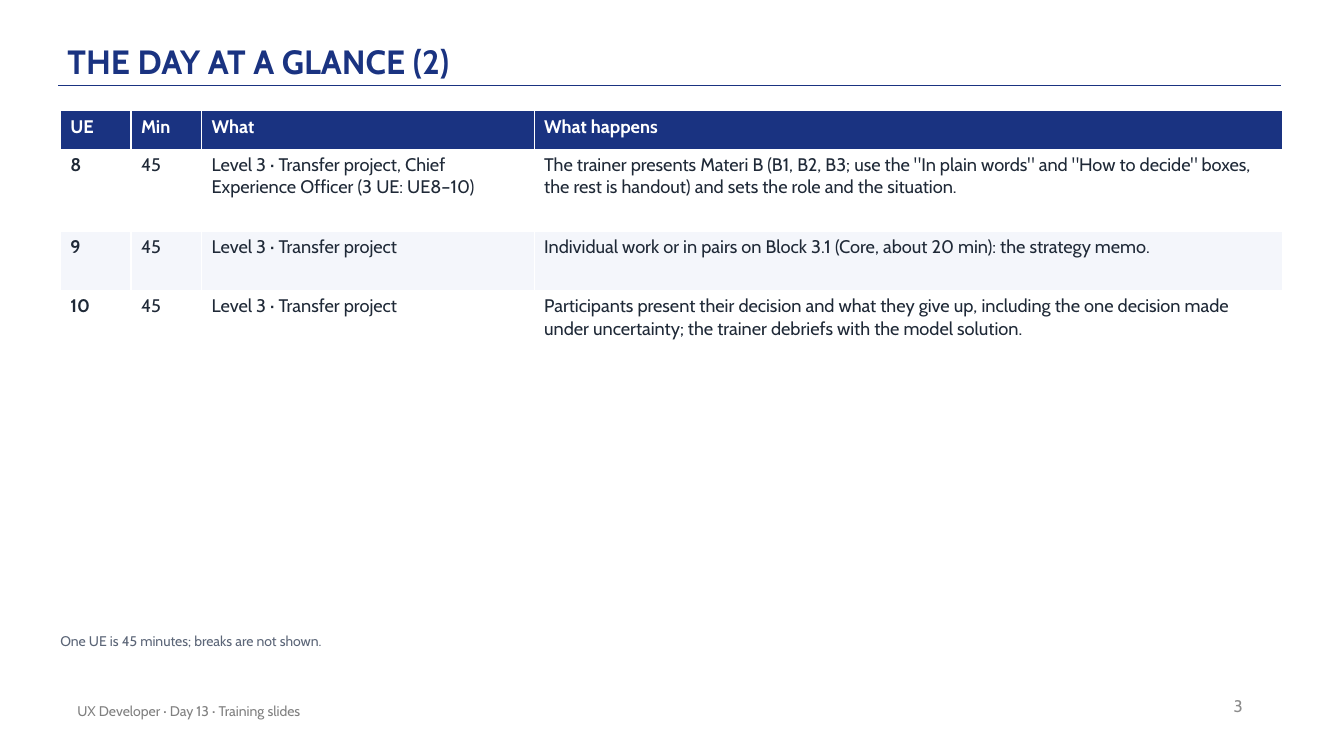
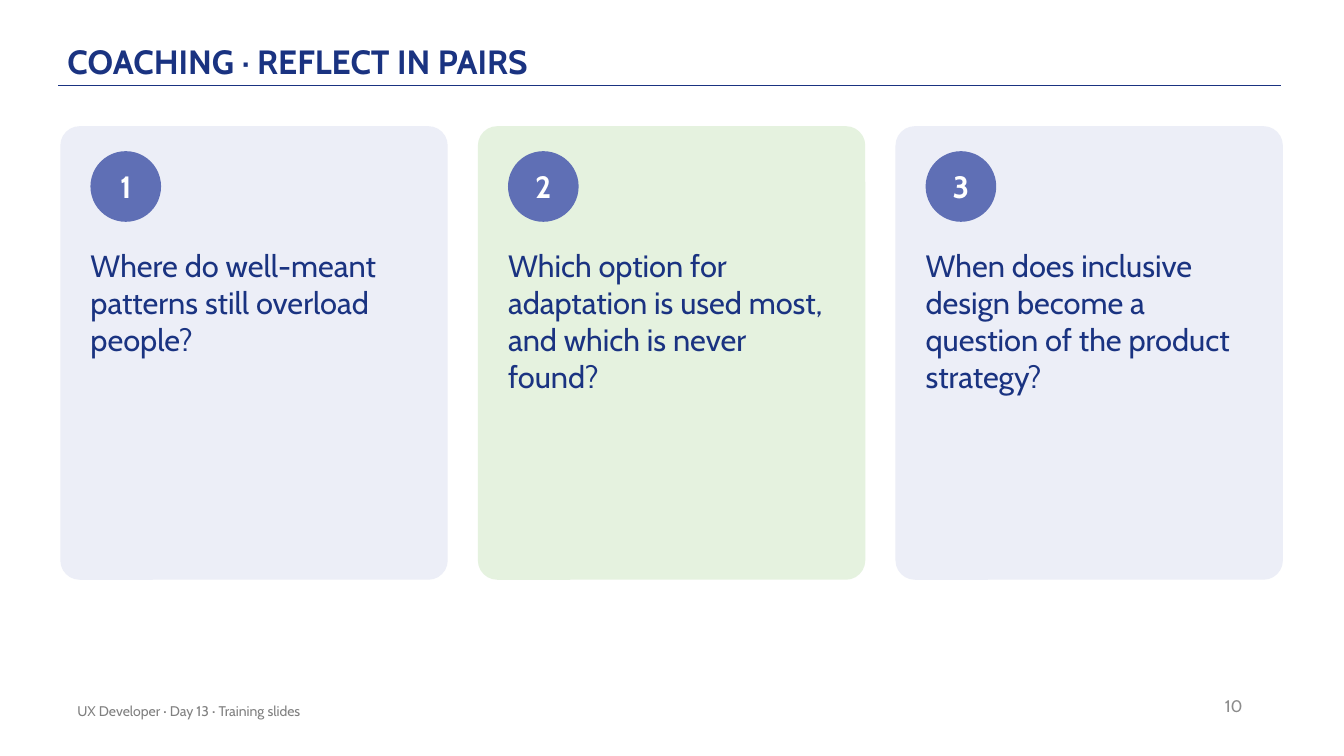
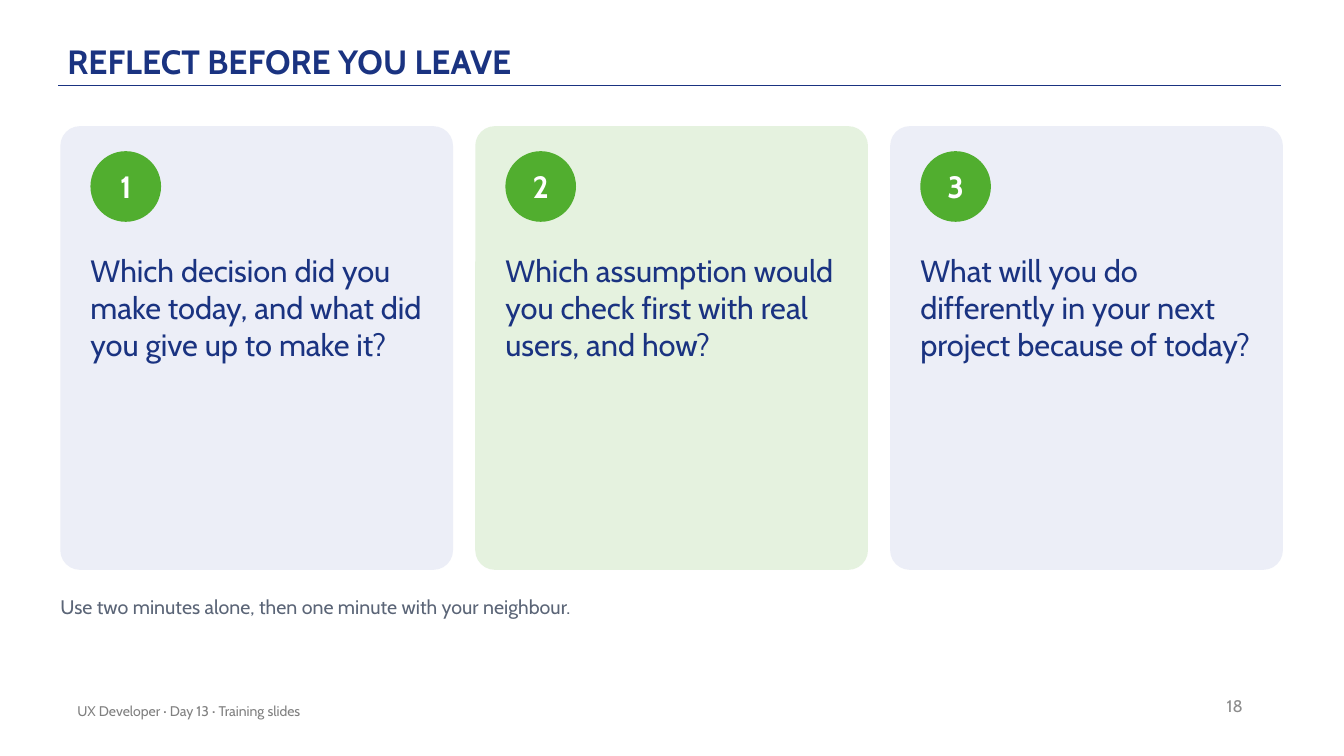
from lxml import etree
from pptx import Presentation
from pptx.dml.color import RGBColor
from pptx.enum import shapes, text
from pptx.util import Cm, Pt

NAVY, WHITE, GREY, INK = "1A3381", "FFFFFF", "5B6577", "1F2937"
LILAC, MINT, PALE = "ECEEF7", "E5F2DF", "F4F6FB"
BLUE, GREEN = "5F6FB5", "51AE2F"
FOOT = "UX Developer · Day 13 · Training slides"
LEFT, WIDE = 1.52, 30.81
NS = "{http://schemas.openxmlformats.org/drawingml/2006/main}"


def rgb(code):
    return RGBColor.from_string(code)


class Deck:
    def __init__(self):
        self.prs = Presentation()
        self.prs.slide_width, self.prs.slide_height = Cm(33.87), Cm(19.05)
        self.slide = None

    def style(self, par, size, color, bold=False, align=text.PP_ALIGN.LEFT):
        par.alignment = align
        font = par.font
        font.name, font.size, font.bold = "Cabin", Pt(size), bold
        font.color.rgb = rgb(color)

    def frame(self, shape, anchor, side=0, edge=0):
        body = shape.text_frame
        body.word_wrap = True
        body.auto_size = text.MSO_AUTO_SIZE.NONE
        body.vertical_anchor = anchor
        body.margin_left = body.margin_right = Cm(side)
        body.margin_top = body.margin_bottom = Cm(edge)
        return body

    def page(self, title, number):
        self.slide = self.prs.slides.add_slide(self.prs.slide_layouts[5])
        self.rule()
        self.title(title)
        mid = text.MSO_ANCHOR.MIDDLE
        self.label(str(number), 23.95, 17.27, 7.62, 1.02, 12, "8C8C8C",
                   text.PP_ALIGN.RIGHT, mid, 0.25)
        self.label(FOOT, 1.7, 17.4, 17.02, 1.02, 10, "808080",
                   anchor=mid, side=0.25)

    def rule(self):
        line = self.slide.shapes.add_connector(
            shapes.MSO_CONNECTOR.STRAIGHT, Cm(1.47), Cm(2.16), Cm(32.28), Cm(2.16))
        line.line.color.rgb = rgb(NAVY)
        line.line.width = Pt(1)
        etree.SubElement(line._element.spPr, NS + "effectLst")

    def title(self, words):
        head = self.slide.shapes.title
        head.left, head.top, head.width, head.height = Cm(1.7), Cm(0.3), Cm(27.94), Cm(1.83)
        body = self.frame(head, text.MSO_ANCHOR.BOTTOM, edge=0.08)
        body.text = words
        par = body.paragraphs[0]
        par.line_spacing = 0.9
        self.style(par, 24, NAVY, True)

    def label(self, words, x, y, w, h, size, color, align=text.PP_ALIGN.LEFT,
              anchor=text.MSO_ANCHOR.TOP, side=0):
        box = self.slide.shapes.add_textbox(Cm(x), Cm(y), Cm(w), Cm(h))
        body = self.frame(box, anchor, side)
        body.text = words
        self.style(body.paragraphs[0], size, color, align=align)

    def shape(self, kind, x, y, w, h, fill):
        item = self.slide.shapes.add_shape(kind, Cm(x), Cm(y), Cm(w), Cm(h))
        item.shadow.inherit = False
        item.fill.solid()
        item.fill.fore_color.rgb = rgb(fill)
        item.line.fill.background()
        return item

    def badge(self, words, x, y, fill):
        dot = self.shape(shapes.MSO_SHAPE.OVAL, x, y, 1.78, 1.78, fill)
        body = self.frame(dot, text.MSO_ANCHOR.MIDDLE)
        body.text = words
        self.style(body.paragraphs[0], 22, WHITE, True, text.PP_ALIGN.CENTER)

    def cards(self, asks, gap, high, drop, accent):
        top, pad = 3.18, 0.76
        width = (WIDE - gap * (len(asks) - 1)) / len(asks)
        for i, ask in enumerate(asks):
            x = LEFT + i * (width + gap)
            card = self.shape(shapes.MSO_SHAPE.ROUNDED_RECTANGLE, x, top,
                              width, high, MINT if i % 2 else LILAC)
            card.adjustments[0] = 0.05
            self.badge(str(i + 1), x + pad, 3.81, accent)
            self.label(ask, x + pad, drop, width - 2 * pad,
                       top + high - 0.5 - drop, 22, NAVY)

    def table(self, rows, widths, heights):
        grid = self.slide.shapes.add_table(
            len(rows), len(widths), Cm(LEFT), Cm(2.79), Cm(WIDE), Cm(sum(heights))).table
        grid.horz_banding = False
        for col, width in zip(grid.columns, widths):
            col.width = Cm(width)
        for r, (row, high) in enumerate(zip(rows, heights)):
            grid.rows[r].height = Cm(high)
            fill = NAVY if r == 0 else WHITE if r % 2 else PALE
            for c, words in enumerate(row):
                cell = grid.cell(r, c)
                cell.text = words
                cell.fill.solid()
                cell.fill.fore_color.rgb = rgb(fill)
                self.style(cell.text_frame.paragraphs[0], 13,
                           INK if r else WHITE, r == 0 or c == 0)


def main():
    deck = Deck()

    deck.page("THE DAY AT A GLANCE (2)", 3)
    deck.table([
        ("UE", "Min", "What", "What happens"),
        ("8", "45", "Level 3 · Transfer project, Chief Experience Officer (3 UE: UE8–10)",
         'The trainer presents Materi B (B1, B2, B3; use the "In plain words" and '
         '"How to decide" boxes, the rest is handout) and sets the role and the situation.'),
        ("9", "45", "Level 3 · Transfer project",
         "Individual work or in pairs on Block 3.1 (Core, about 20 min): the strategy memo."),
        ("10", "45", "Level 3 · Transfer project",
         "Participants present their decision and what they give up, including the one "
         "decision made under uncertainty; the trainer debriefs with the model solution."),
    ], (1.78, 1.78, 8.38, 18.87), (0.97, 2.06, 1.5, 2.06))
    deck.label("One UE is 45 minutes; breaks are not shown.",
               LEFT, 15.93, 30.73, 0.76, 10, GREY)

    deck.page("COACHING · REFLECT IN PAIRS", 10)
    deck.cards([
        "Where do well-meant patterns still overload people?",
        "Which option for adaptation is used most, and which is never found?",
        "When does inclusive design become a question of the product strategy?",
    ], 0.76, 11.43, 6.22, BLUE)

    deck.page("REFLECT BEFORE YOU LEAVE", 18)
    deck.cards([
        "Which decision did you make today, and what did you give up to make it?",
        "Which assumption would you check first with real users, and how?",
        "What will you do differently in your next project because of today?",
    ], 0.56, 11.18, 6.35, GREEN)
    deck.label("Use two minutes alone, then one minute with your neighbour.",
               LEFT, 14.99, 30.73, 1.02, 14, GREY)

    deck.prs.save("out.pptx")


if __name__ == "__main__":
    main()
